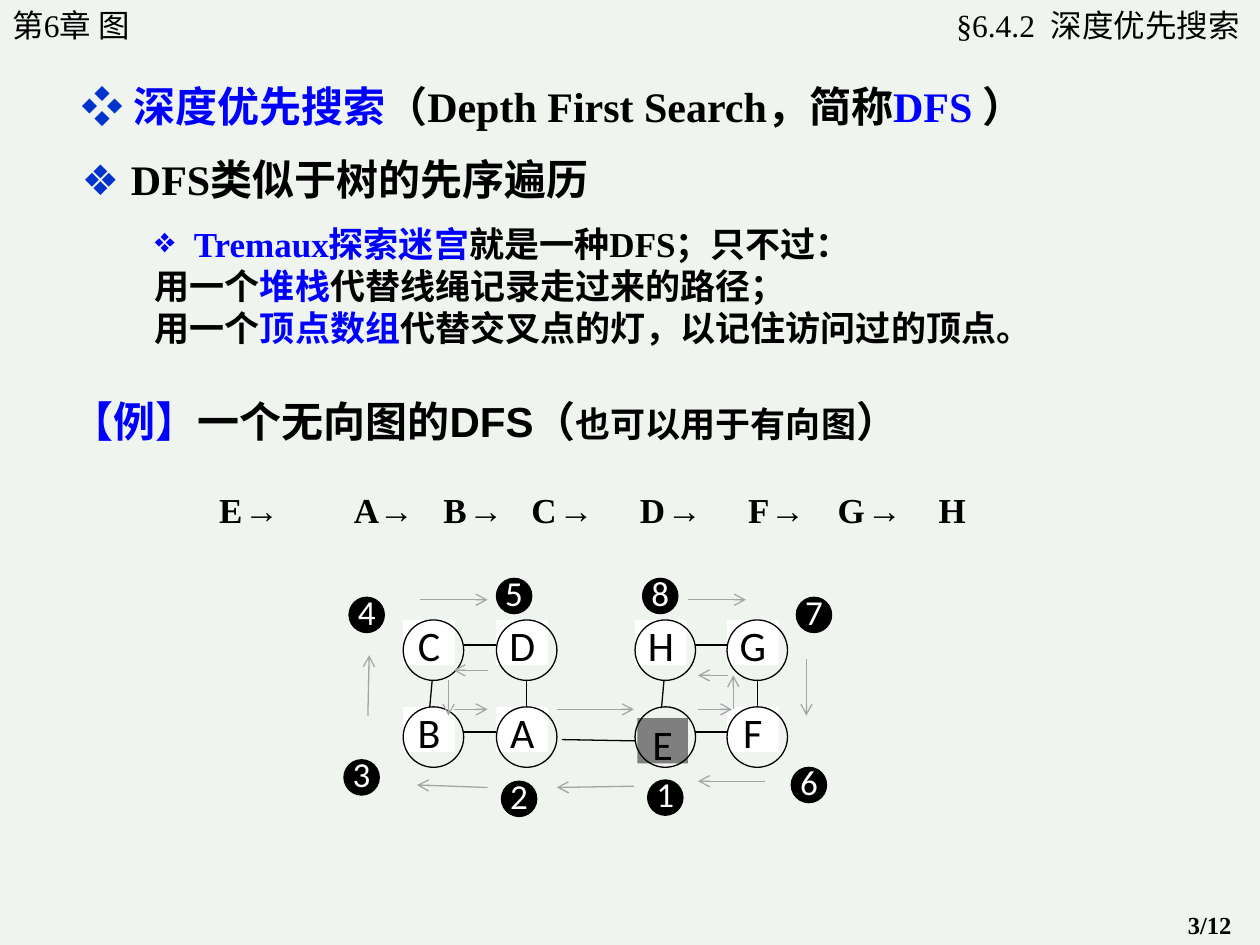
"""Builds the slide on depth-first search of an undirected graph."""
import dataclasses

import lxml.etree
import pptx
import pptx.dml.color
import pptx.enum.shapes
import pptx.enum.text
import pptx.oxml
import pptx.oxml.ns
import pptx.util


@dataclasses.dataclass(frozen=True)
class Theme:
    background: str = "EFF4EF"
    ink: str = "000000"
    paper: str = "FFFFFF"
    accent: str = "0000FF"
    bullet: str = "0033CC"
    start: str = "7F7F7F"
    route: str = "A5A5A5"
    serif: str = "Times New Roman"
    sans: str = "Arial"
    label: str = "Calibri"
    mono: str = "Courier New"
    large: int = 24
    medium: int = 20
    header: int = 18
    small: int = 14
    stroke: float = 0.75


THEME = Theme()
PX = 9144
INK, ACCENT, SERIF = THEME.ink, THEME.accent, THEME.serif
color = pptx.dml.color.RGBColor.from_string
qn = pptx.oxml.ns.qn


def add_runs(paragraph, runs, size, bold=True):
    for text, font_name, hex_color, *own_size in runs:
        run = paragraph.add_run()
        run.text = text
        run.font.name = font_name
        run.font.size = pptx.util.Pt(own_size[0] if own_size else size)
        run.font.bold = bold
        run.font.color.rgb = color(hex_color)


def add_line(points, hex_color, arrow=False):
    connector = slide.shapes.add_connector(
        pptx.enum.shapes.MSO_CONNECTOR.STRAIGHT, *(value * PX for value in points))
    connector.line.color.rgb = color(hex_color)
    connector.line.width = pptx.util.Pt(THEME.stroke)
    if arrow:
        line = connector.line._get_or_add_ln()
        lxml.etree.SubElement(line, qn("a:tailEnd")).set("type", "arrow")
    lxml.etree.SubElement(connector._element.spPr, qn("a:effectLst"))


presentation = pptx.Presentation()
presentation.slide_width, presentation.slide_height = 1000 * PX, 750 * PX
slide = presentation.slides.add_slide(presentation.slide_layouts[5])
slide.background.fill.solid()
slide.background.fill.fore_color.rgb = color(THEME.background)

title = slide.shapes.title
title.left, title.top, title.width, title.height = 688 * PX, 0, 312 * PX, 40 * PX
frame = title.text_frame
frame.margin_left, frame.margin_right = 12 * PX, 16 * PX
frame.margin_top = frame.margin_bottom = 5 * PX
frame.vertical_anchor = pptx.enum.text.MSO_ANCHOR.TOP
frame.auto_size = pptx.enum.text.MSO_AUTO_SIZE.SHAPE_TO_FIT_TEXT
frame.paragraphs[0].alignment = pptx.enum.text.PP_ALIGN.RIGHT
add_runs(frame.paragraphs[0], [("§6.4.2  深度优先搜索", SERIF, INK)], THEME.header, False)

diamond = ("❖ ", THEME.sans, THEME.bullet)
text_boxes = [
    ((0, 0, 174, 40), THEME.header, False, True, [[("第6章 图", SERIF, INK)]]),
    ((55, 59, 875, 50), THEME.large, True, True, [[
        diamond, ("深度优先搜索", SERIF, ACCENT),
        ("（Depth First Search，简称", SERIF, INK),
        ("DFS ", SERIF, ACCENT), ("）", SERIF, INK)]]),
    ((55, 117, 875, 50), THEME.large, True, True, [[
        diamond, ("DFS类似于树的先序遍历", SERIF, INK)]]),
    ((63, 172, 808, 110), THEME.medium, True, True, [
        [("Tremaux探索迷宫", SERIF, ACCENT), ("就是一种DFS；只不过：", SERIF, INK)],
        [("用一个", SERIF, INK), ("堆栈", SERIF, ACCENT),
         ("代替线绳记录走过来的路径；", SERIF, INK)],
        [("用一个", SERIF, INK), ("顶点数组", SERIF, ACCENT),
         ("代替交叉点的灯，以记住访问过的顶点。", SERIF, INK)]]),
    ((47, 309, 812, 50), THEME.large, True, True, [[
        ("【例】", THEME.sans, ACCENT), ("一个无向图的DFS（", THEME.sans, INK),
        ("也可以用于有向图", THEME.sans, INK, THEME.medium), ("）", THEME.sans, INK)]]),
    ((933, 717, 67, 34), THEME.small, True, True, [[("3/12", SERIF, INK)]]),
]
visits = [("E", 164, 62), ("A", 271, 64), ("B", 342, 62), ("C", 412, 64),
          ("D", 498, 64), ("F", 584, 60), ("G", 655, 65)]
for letter, left, width in visits:
    runs = [(f"{letter} ", SERIF, INK), ("→", THEME.mono, INK)]
    text_boxes.append(((left, 383, width, 44), THEME.medium, True, False, [runs]))
text_boxes.append(((735, 383, 41, 44), THEME.medium, True, False, [[("H", SERIF, INK)]]))

for box, size, bold, wrap, paragraphs in text_boxes:
    frame = slide.shapes.add_textbox(*(value * PX for value in box)).text_frame
    frame.word_wrap = wrap
    frame.auto_size = pptx.enum.text.MSO_AUTO_SIZE.SHAPE_TO_FIT_TEXT
    for index, runs in enumerate(paragraphs):
        paragraph = frame.add_paragraph() if index else frame.paragraphs[0]
        if len(paragraphs) > 1:
            paragraph.level = 1
            properties = paragraph._p.get_or_add_pPr()
            properties.set("marL", str(81 * PX))
            properties.set("indent", str(-31 * PX))
            if index == 0:
                bullet_color = lxml.etree.SubElement(properties, qn("a:buClr"))
                lxml.etree.SubElement(bullet_color, qn("a:srgbClr")).set("val", ACCENT)
                lxml.etree.SubElement(properties, qn("a:buChar")).set("char", "❖")
        add_runs(paragraph, runs, size, bold)

node_size, top_row, bottom_row = 48, 492, 561
for left, right in ((320, 394), (504, 577)):
    for row in (top_row, bottom_row):
        add_line((left + node_size, row + 20, right, row + 20), INK)
    add_line((left + 23, 540, left + 21, 562), INK)
    add_line((right + 24, 540, right + 24, 562), INK)
add_line((446, 587, 504, 588), INK)

nodes = [("C", 320, top_row), ("D", 394, top_row), ("B", 320, bottom_row),
         ("A", 394, bottom_row), ("H", 504, top_row), ("G", 577, top_row),
         ("E", 504, bottom_row), ("F", 577, bottom_row)]
for letter, left, top in nodes:
    is_start = letter == "E"
    label_left, label_top = (left + 2, top + 9) if is_start else (left, top)
    label = slide.shapes.add_shape(
        pptx.enum.shapes.MSO_SHAPE.RECTANGLE,
        label_left * PX, label_top * PX, (40 if is_start else 41) * PX, 36 * PX)
    label.shadow.inherit = False
    label.fill.solid()
    label.fill.fore_color.rgb = color(THEME.start if is_start else THEME.paper)
    label.line.fill.background()
    frame = label.text_frame
    frame.margin_left = frame.margin_right = frame.margin_top = frame.margin_bottom = 0
    frame.vertical_anchor = pptx.enum.text.MSO_ANCHOR.TOP
    frame.paragraphs[0].alignment = pptx.enum.text.PP_ALIGN.CENTER
    add_runs(frame.paragraphs[0], [(letter, THEME.label, INK)], THEME.large, False)
    ring = slide.shapes.add_shape(
        pptx.enum.shapes.MSO_SHAPE.OVAL,
        left * PX, top * PX, node_size * PX, node_size * PX)
    ring.shadow.inherit = False
    ring.fill.background()
    ring.line.color.rgb = color(INK)
    ring.line.width = pptx.util.Pt(THEME.stroke)

badges = [(514, 619), (398, 620), (273, 603), (277, 474),
          (394, 459), (628, 609), (632, 474), (510, 459)]
for number, (left, top) in enumerate(badges, start=1):
    badge = slide.shapes.add_shape(
        pptx.enum.shapes.MSO_SHAPE.OVAL, left * PX, top * PX, 28 * PX, 28 * PX)
    badge.shadow.inherit = False
    badge.fill.solid()
    badge.fill.fore_color.rgb = color(INK)
    badge.line.color.rgb = color(INK)
    badge.line.width = pptx.util.Pt(THEME.stroke)
    frame = badge.text_frame
    frame.margin_left = frame.margin_right = frame.margin_top = 0
    frame.margin_bottom = 6 * PX
    frame.word_wrap = False
    frame.vertical_anchor = pptx.enum.text.MSO_ANCHOR.MIDDLE
    frame.paragraphs[0].alignment = pptx.enum.text.PP_ALIGN.CENTER
    add_runs(frame.paragraphs[0], [(str(number), THEME.label, THEME.paper)], THEME.medium, False)

routes = [(503, 624, 442, 625), (356, 540, 356, 568), (442, 563, 503, 563),
          (578, 536, 554, 536), (607, 620, 554, 620), (360, 563, 387, 563),
          (292, 568, 293, 520), (387, 625, 331, 623), (582, 563, 582, 536),
          (640, 523, 640, 568), (333, 476, 387, 476), (387, 532, 360, 532),
          (546, 476, 592, 476), (554, 563, 581, 563)]
for points in routes:
    add_line(points, THEME.route, arrow=True)

presentation.save("out.pptx")
